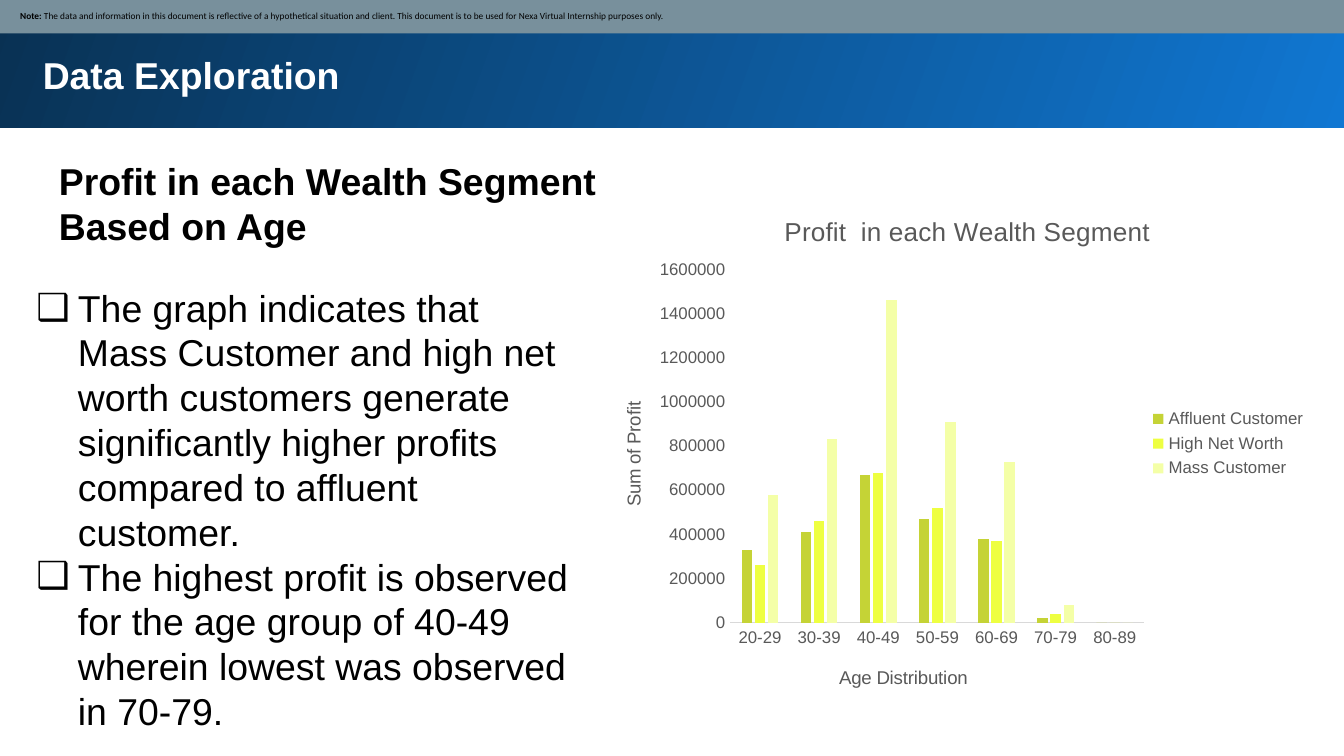
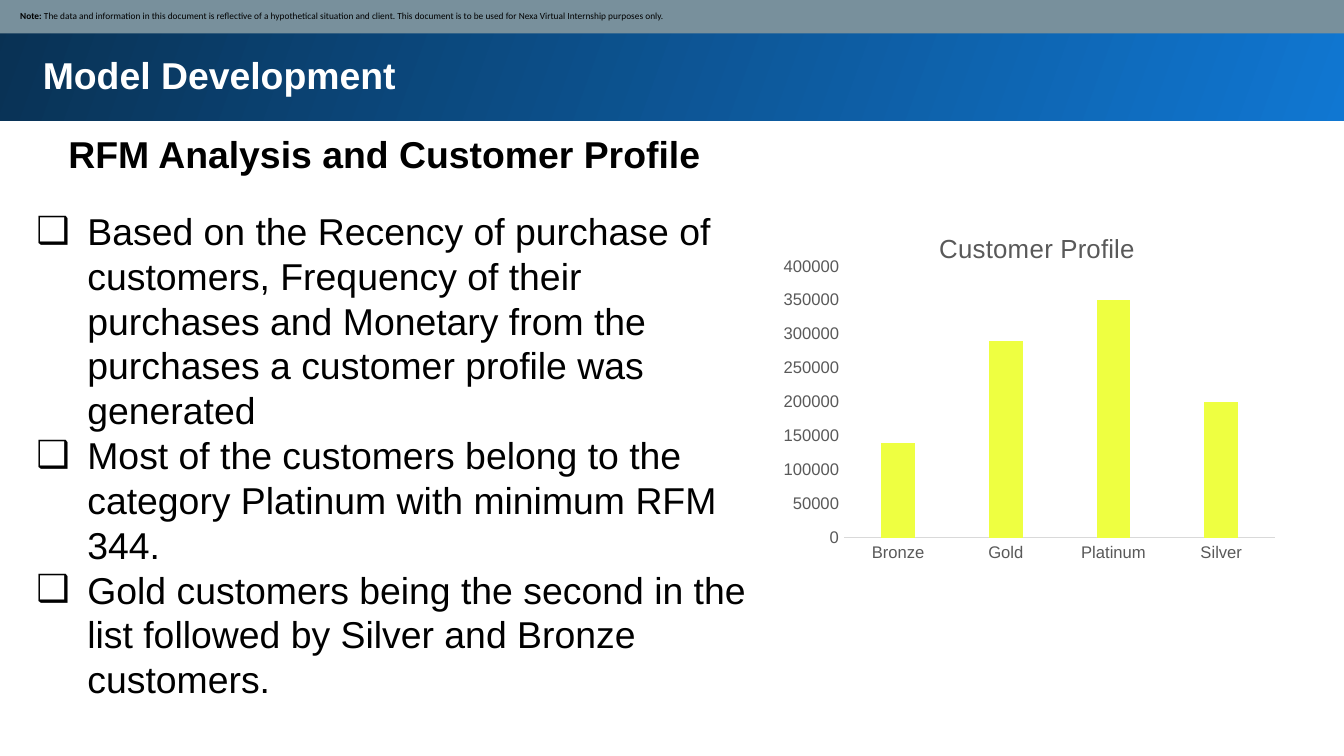
from lxml import etree
from pptx import Presentation
from pptx import util as u
from pptx.chart.data import CategoryChartData
from pptx.dml.color import RGBColor
from pptx.enum import chart as charts, shapes, text
from pptx.oxml.ns import qn

THEME = {
    "black": RGBColor.from_string("000000"),
    "white": RGBColor.from_string("FFFFFF"),
    "band": [RGBColor.from_string(c) for c in ("1077D2", "093153")],
    "note_bar": RGBColor.from_string("78909C"),
    "chart_text": RGBColor.from_string("595959"),
    "axis_line": RGBColor.from_string("D9D9D9"),
    "font": "Arial", "note_font": "Calibri",
    "body": u.Pt(20), "leading": u.Pt(24), "note": u.Pt(5),
    "chart_title": u.Pt(14), "axis_title": u.Pt(10), "labels": u.Pt(9),
}

NOTE = ("The data and information in this document is reflective of a hypothetical "
        "situation and client. This document is to be used for Nexa Virtual "
        "Internship purposes only.")

SLIDES = [
    {
        "title": "Data Exploration", "band": (-0.03, 0.03),
        "heading": "Profit in each Wealth Segment Based on Age",
        "heading_at": (0.34, 1.13, 4.74, 0.77),
        "bullets": [
            "The graph indicates that Mass Customer and high net worth customers generate "
            "significantly higher profits compared to affluent customer.",
            "The highest profit is observed for the age group of 40-49 wherein lowest was "
            "observed in 70-79.",
        ],
        "bullets_at": (0.22, 2.07, 4.12, 3.47), "indent": 0.31,
        "chart_at": (4.6, 1.45, 5.22, 3.72),
        "chart_title": "Profit  in each Wealth Segment", "chart_title_at": (0.23, 0.03),
        "plot": (0.16, 0.15, 0.59, 0.71), "scale": (1600000, 200000),
        "axis_titles": [("Age Distribution", (0.31, 0.94)), ("Sum of Profit", (0, 0.41))],
        "categories": ["20-29", "30-39", "40-49", "50-59", "60-69", "70-79", "80-89"],
        "series": [
            ("Affluent Customer", "C5D336", [330000, 410000, 670000, 470000, 380000, 20000, 0]),
            ("High Net Worth", "EEFF41", [260000, 460000, 680000, 520000, 370000, 40000, 0]),
            ("Mass Customer", "F4FFA7", [580000, 830000, 1460000, 910000, 730000, 80000, 0]),
        ],
    },
    {
        "title": "Model Development", "band": (-0.02, -0.02),
        "heading": "RFM Analysis and Customer Profile",
        "heading_at": (0.41, 0.93, 5.42, 0.44),
        "bullets": [
            "Based on the Recency of purchase of customers, Frequency of their purchases and "
            "Monetary from the purchases a customer profile was generated",
            "Most of the customers belong to the category Platinum with minimum RFM 344.",
            "Gold customers being the second in the list followed by Silver and Bronze customers.",
        ],
        "bullets_at": (0.22, 1.5, 5.39, 3.8), "indent": 0.38,
        "chart_at": (5.83, 1.58, 3.77, 2.69),
        "chart_title": "Customer Profile", "chart_title_at": (0.29, 0.04),
        "plot": (0.11, 0.15, 0.86, 0.75), "scale": (400000, 50000),
        "axis_titles": [],
        "categories": ["Bronze", "Gold", "Platinum", "Silver"],
        "series": [("Series 1", "EEFF41", [140000, 290000, 350000, 200000])],
    },
]


def add_text(page, at, lines, color, bold=False, insets=(0.1, 0.05), indent=0):
    """Add a wrapped text box; an indent turns its lines into bullets."""
    frame = page.shapes.add_textbox(*map(u.Inches, at)).text_frame
    frame.word_wrap = True
    frame.auto_size = text.MSO_AUTO_SIZE.SHAPE_TO_FIT_TEXT
    frame.margin_left = frame.margin_right = u.Inches(insets[0])
    frame.margin_top = frame.margin_bottom = u.Inches(insets[1])
    frame.text = "\n".join(lines)
    for para in frame.paragraphs:
        para.font.name, para.font.size = THEME["font"], THEME["body"]
        para.font.bold, para.font.color.rgb = bold, color
        para.line_spacing = THEME["leading"]
        if indent:
            props = para._p.get_or_add_pPr()
            props.set("marL", str(u.Inches(indent)))
            props.set("indent", str(-u.Inches(indent)))
            face = etree.Element(qn("a:buFont"), typeface=THEME["font"])
            props.find(qn("a:lnSpc")).addnext(face)
            face.addnext(etree.Element(qn("a:buChar"), char="❑"))


def set_layout(element, index, **fractions):
    """Place a chart part by fractions of the chart area."""
    for old in element.findall(qn("c:layout")):
        element.remove(old)
    layout = etree.Element(qn("c:layout"))
    element.insert(index, layout)
    manual = etree.SubElement(layout, qn("c:manualLayout"))
    if "w" in fractions:
        etree.SubElement(manual, qn("c:layoutTarget"), val="inner")
    for axis in "xy":
        etree.SubElement(manual, qn(f"c:{axis}Mode"), val="edge")
    for name, value in fractions.items():
        etree.SubElement(manual, qn(f"c:{name}"), val=str(value))


# Widescreen, 16 to 9
deck = Presentation()
deck.slide_width = u.Inches(10)
deck.slide_height = u.Inches(10) * 9 // 16

for content in SLIDES:
    page = deck.slides.add_slide(deck.slide_layouts[6])
    page.background.fill.solid()
    page.background.fill.fore_color.rgb = THEME["white"]

    # Title band
    band = page.shapes.add_shape(shapes.MSO_SHAPE.RECTANGLE, *map(u.Inches, content["band"]),
                                 u.Inches(10.05), u.Inches(0.92))
    band.fill.gradient()
    band.fill.gradient_angle = 160
    for stop, color in zip(band.fill.gradient_stops, THEME["band"]):
        stop.color.rgb = color
    add_text(page, (0.22, 0.29, 9.37, 0.54), [content["title"]], THEME["white"],
             bold=True, insets=(0.1, 0.1))

    # Note bar
    bar = page.shapes.add_shape(shapes.MSO_SHAPE.RECTANGLE,
                                *map(u.Inches, (-0.01, -0.01, 10.03, 0.26)))
    bar.fill.solid()
    bar.fill.fore_color.rgb = THEME["note_bar"]
    for shape in (band, bar):
        shape.line.fill.background()
        shape.shadow.inherit = False
    frame = bar.text_frame
    frame.vertical_anchor = text.MSO_ANCHOR.MIDDLE
    frame.margin_top = frame.margin_bottom = frame.margin_right = u.Inches(0.05)
    frame.margin_left = u.Inches(0.16)
    para = frame.paragraphs[0]
    para.alignment = text.PP_ALIGN.LEFT
    para.font.name, para.font.size = THEME["note_font"], THEME["note"]
    para.font.color.rgb = THEME["black"]
    for wording, bold in (("Note: ", True), (NOTE, False)):
        span = para.add_run()
        span.text, span.font.bold = wording, bold

    # Chart
    data = CategoryChartData()
    data.categories = content["categories"]
    for name, color, values in content["series"]:
        data.add_series(name, values)
    chart = page.shapes.add_chart(charts.XL_CHART_TYPE.COLUMN_CLUSTERED,
                                  *map(u.Inches, content["chart_at"]), data).chart
    chart.font.name, chart.font.size = THEME["font"], THEME["labels"]
    chart.font.color.rgb = THEME["chart_text"]
    plot = chart.plots[0]
    plot.gap_width, plot.overlap, plot.vary_by_categories = 219, -27, False
    for series, (name, color, values) in zip(plot.series, content["series"]):
        series.format.fill.solid()
        series.format.fill.fore_color.rgb = RGBColor.from_string(color)
    set_layout(chart._chartSpace.chart.plotArea, 0, **dict(zip("xywh", content["plot"])))

    # Axes and legend
    axes = (chart.category_axis, chart.value_axis)
    for axis in axes:
        axis.major_tick_mark = axis.minor_tick_mark = charts.XL_TICK_MARK.NONE
        axis.has_major_gridlines = False
    chart.category_axis.format.line.color.rgb = THEME["axis_line"]
    chart.category_axis.format.line.width = u.Pt(0.75)
    chart.value_axis.format.line.fill.background()
    chart.value_axis.minimum_scale = 0
    chart.value_axis.maximum_scale, chart.value_axis.major_unit = content["scale"]
    chart.has_legend = len(content["series"]) > 1
    if chart.has_legend:
        chart.legend.position = charts.XL_LEGEND_POSITION.RIGHT
        chart.legend.include_in_layout = False

    # Chart and axis titles
    titles = [(chart.chart_title, content["chart_title"], content["chart_title_at"],
               THEME["chart_title"])]
    for axis, (wording, place) in zip(axes, content["axis_titles"]):
        titles.append((axis.axis_title, wording, place, THEME["axis_title"]))
    for title, wording, (x, y), size in titles:
        title.text_frame.text = wording
        font = title.text_frame.paragraphs[0].font
        font.name, font.size, font.bold = THEME["font"], size, False
        font.color.rgb = THEME["chart_text"]
        set_layout(title._element, 1, x=x, y=y)

    # Heading and bullets
    add_text(page, content["heading_at"], [content["heading"]], THEME["black"], bold=True)
    add_text(page, content["bullets_at"], content["bullets"], THEME["black"],
             insets=(0.05, 0.05), indent=content["indent"])

deck.save("out.pptx")
